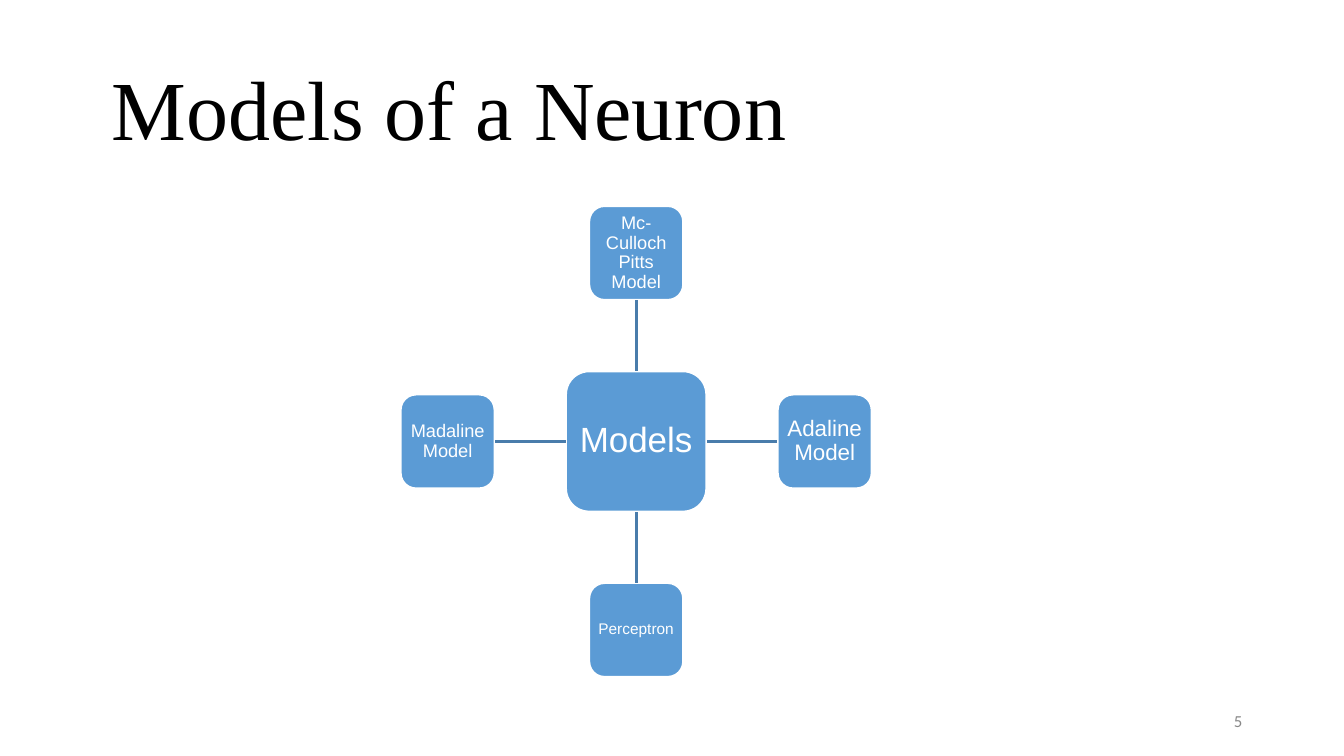
from lxml import etree
from pptx import Presentation
from pptx import util as u
from pptx.dml.color import RGBColor
from pptx.enum import shapes, text
from pptx.oxml import ns


def colour(hex_code):
    return RGBColor.from_string(hex_code)


class Page:
    """Style and drawing methods for the current slide."""
    NODE_FILL, NODE_EDGE, LINK = "5B9BD5", "FFFFFF", "497CAB"

    def __init__(self, deck):
        self.slide = deck.slides.add_slide(deck.slide_layouts[5])

    def set_words(self, frame, words, size, font, hue, align, anchor, inset=(0.1, 0.05)):
        frame.word_wrap = True
        frame.auto_size = text.MSO_AUTO_SIZE.NONE
        frame.vertical_anchor = anchor
        frame.margin_left = frame.margin_right = u.Inches(inset[0])
        frame.margin_top = frame.margin_bottom = u.Inches(inset[1])
        para = frame.paragraphs[0]
        para.alignment = align
        span = para.add_run()
        span.text = words
        span.font.size = u.Pt(size)
        span.font.name = font
        span.font.color.rgb = colour(hue)
        return para

    def title(self, words, left, top, width, height):
        box = self.slide.shapes.title
        box.left, box.top = u.Inches(left), u.Inches(top)
        box.width, box.height = u.Inches(width), u.Inches(height)
        para = self.set_words(box.text_frame, words, 60, "Times New Roman", "000000",
                              text.PP_ALIGN.LEFT, text.MSO_ANCHOR.BOTTOM)
        para.line_spacing = 0.9

    def page_number(self, words, left, top, width, height):
        box = self.slide.shapes.add_textbox(
            u.Inches(left), u.Inches(top), u.Inches(width), u.Inches(height))
        self.set_words(box.text_frame, words, 12, "Calibri", "888888",
                       text.PP_ALIGN.RIGHT, text.MSO_ANCHOR.MIDDLE)

    def node(self, words, centre_x, centre_y, side, size, inset):
        box = self.slide.shapes.add_shape(
            shapes.MSO_SHAPE.ROUNDED_RECTANGLE,
            u.Inches(centre_x - side / 2), u.Inches(centre_y - side / 2),
            u.Inches(side), u.Inches(side))
        box.shadow.inherit = False
        box.fill.solid()
        box.fill.fore_color.rgb = colour(self.NODE_FILL)
        box.line.color.rgb = colour(self.NODE_EDGE)
        box.line.width = u.Pt(2)
        para = self.set_words(box.text_frame, words, size, "Arial", "FFFFFF",
                              text.PP_ALIGN.CENTER, text.MSO_ANCHOR.MIDDLE, (inset, inset))
        para.line_spacing = 0.9
        return box

    def link(self, start, start_side, end, end_side):
        line = self.slide.shapes.add_connector(shapes.MSO_CONNECTOR.STRAIGHT, 0, 0, 0, 0)
        line.begin_connect(start, start_side)
        line.end_connect(end, end_side)
        line.line.color.rgb = colour(self.LINK)
        line.line.width = u.Pt(2)
        etree.SubElement(line._element.spPr, ns.qn("a:effectLst"))


def main():
    deck = Presentation()
    deck.slide_width, deck.slide_height = u.Inches(13.33), u.Inches(7.5)
    page = Page(deck)

    # Heading and page number
    page.title("Models of a Neuron", 1.01, 0.33, 11.5, 1.29)
    page.page_number("5", 9.42, 6.95, 3, 0.4)

    # Hub in the middle
    hub_x, hub_y, reach = 6.31, 4.38, 1.87
    hub = page.node("Models", hub_x, hub_y, 1.4, 25, 0.07)

    # Models around the hub: step right, step down, hub side, text size, inset
    models = [
        ("Mc-Culloch Pitts Model", 0, -1, 0, 13, 0.04),
        ("Adaline Model", 1, 0, 3, 16, 0.04),
        ("Perceptron", 0, 1, 2, 11, 0.03),
        ("Madaline Model", -1, 0, 1, 13, 0.04),
    ]
    for words, right, down, side, size, inset in models:
        model = page.node(words, hub_x + right * reach, hub_y + down * reach,
                          0.94, size, inset)
        page.link(hub, side, model, (side + 2) % 4)

    deck.save("out.pptx")


if __name__ == "__main__":
    main()
